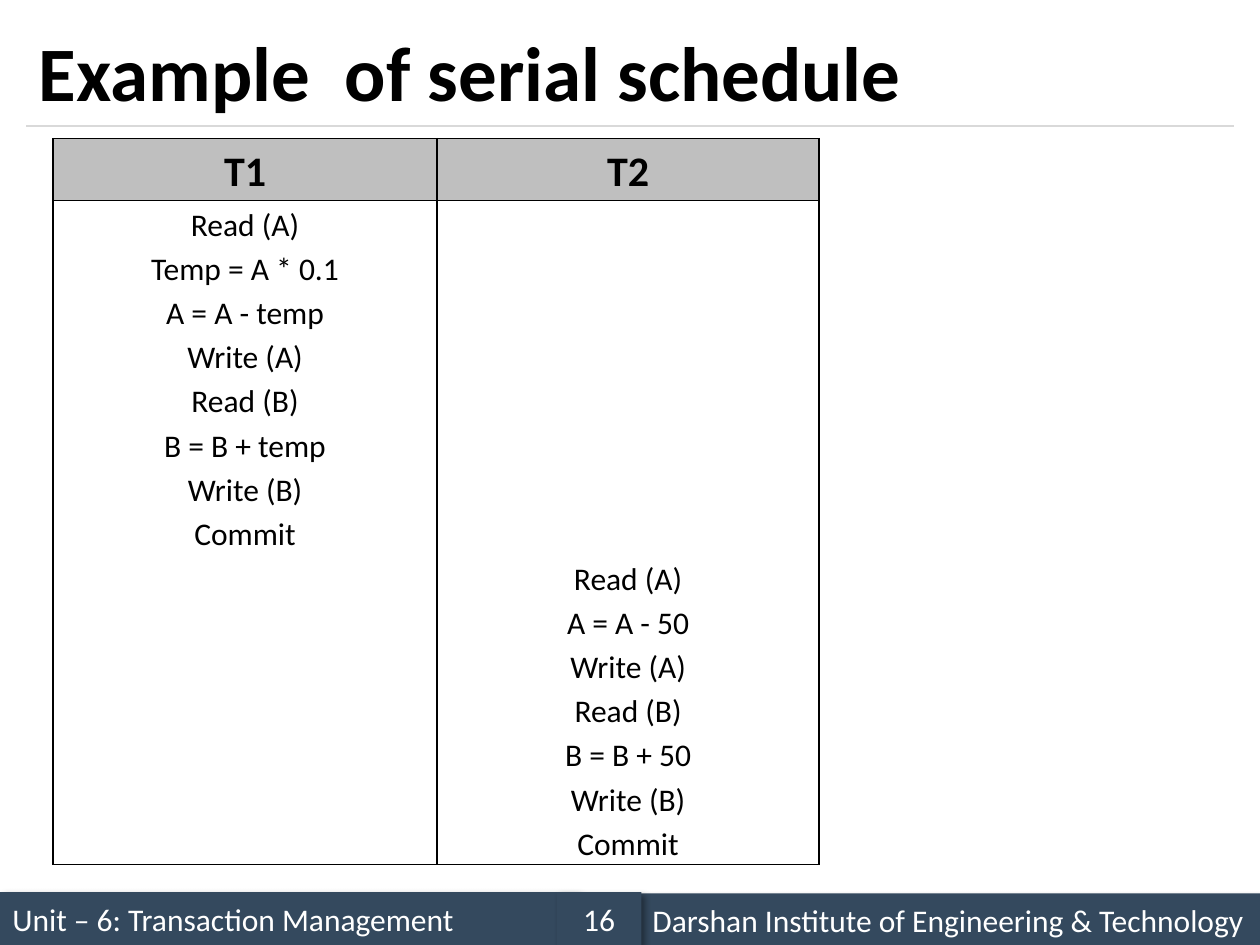
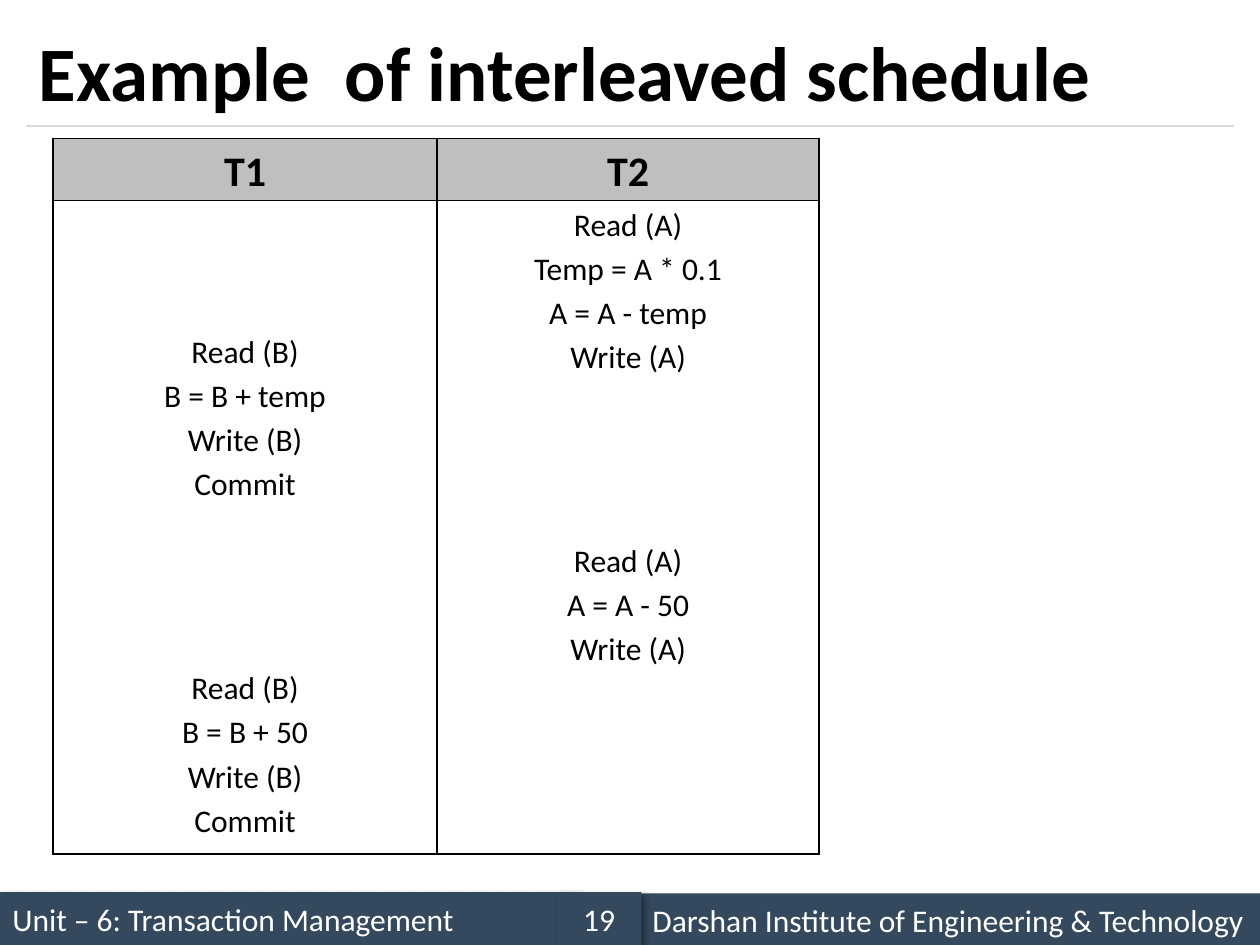
from lxml import etree
from pptx import Presentation
from pptx.dml.color import RGBColor
from pptx.enum.shapes import MSO_CONNECTOR, MSO_SHAPE
from pptx.enum.text import MSO_ANCHOR, PP_ALIGN
from pptx.oxml import parse_xml
from pptx.oxml.ns import nsdecls, qn
from pptx.util import Inches, Pt

LEFT, CENTER = PP_ALIGN.LEFT, PP_ALIGN.CENTER
MIDDLE = MSO_ANCHOR.MIDDLE
RECT, STRAIGHT = MSO_SHAPE.RECTANGLE, MSO_CONNECTOR.STRAIGHT

FONT = "Calibri"
BLACK, WHITE = "000000", "FFFFFF"
BAND, RULE, HEADER = "34495E", "D9D9D9", "BFBFBF"
UNIT = "Unit – 6: Transaction Management"
INSTITUTE = "Darshan Institute of Engineering & Technology"

READ_A, WRITE_A = "Read (A)", "Write (A)"
TAKE_TENTH = [READ_A, "Temp = A * 0.1", "A = A - temp", WRITE_A]
ADD_TENTH = ["Read (B)", "B = B + temp", "Write (B)", "Commit"]
TAKE_FIFTY = [READ_A, "A = A - 50", WRITE_A]
ADD_FIFTY = ["Read (B)", "B = B + 50", "Write (B)", "Commit"]
LATE_START = 1.01

# title, page, row heights, rows of (T1 steps, T2 steps), top inset of T1
SCHEDULES = [
    ("Example  of serial schedule", 16, (0.49, 2.81, 2.46),
     [(TAKE_TENTH + ADD_TENTH, []), ([], TAKE_FIFTY + ADD_FIFTY)], 0),
    ("Example  of interleaved schedule", 19, (0.49, 2.67, 2.52),
     [(ADD_TENTH, TAKE_TENTH), (ADD_FIFTY, TAKE_FIFTY)], LATE_START),
]


def rgb(color):
    """Turn a hex string into a colour."""
    return RGBColor.from_string(color)


def write(tf, lines, size=18, color=BLACK, bold=False, align=LEFT, spacing=1.0):
    """Fill a text frame with one paragraph per line."""
    for i, line in enumerate(lines):
        p = tf.add_paragraph() if i else tf.paragraphs[0]
        p.alignment, p.line_spacing = align, spacing
        r = p.add_run()
        r.text = line
        r.font.name, r.font.size, r.font.bold = FONT, Pt(size), bold
        r.font.color.rgb = rgb(color)


class Deck:
    """Holds the style and the current slide."""

    def __init__(self):
        """Start an empty deck."""
        self.prs = Presentation()
        self.prs.slide_width, self.prs.slide_height = Inches(10), Inches(7.5)
        self.s = None

    def slide(self, title, page):
        """Add a slide with its footer, rule and title."""
        self.s = self.prs.slides.add_slide(self.prs.slide_layouts[6])
        self.band(0, 7.08, 4.58, UNIT)
        self.rule(0.21, 9.79, 1)
        self.band(5.08, 7.09, 4.92, INSTITUTE)
        self.band(4.42, 7.08, 0.67, str(page), CENTER)
        self.title(title)

    def band(self, x, y, w, text, align=LEFT):
        """Add a footer band with a soft shadow."""
        sp = self.s.shapes.add_shape(RECT, Inches(x), Inches(y), Inches(w), Inches(0.42))
        sp.fill.solid()
        sp.fill.fore_color.rgb = rgb(BAND)
        sp.line.fill.background()
        sp._element.spPr.append(parse_xml(
            f'<a:effectLst {nsdecls("a")}><a:outerShdw blurRad="{Pt(4)}" dist="{Pt(3)}" '
            f'dir="2700000" algn="tl" rotWithShape="0"><a:srgbClr val="{BLACK}">'
            '<a:alpha val="40000"/></a:srgbClr></a:outerShdw></a:effectLst>'))
        sp.text_frame.word_wrap = True
        sp.text_frame.vertical_anchor = MIDDLE
        write(sp.text_frame, [text], color=WHITE, align=align)

    def rule(self, x1, x2, y):
        """Add a thin horizontal line."""
        sp = self.s.shapes.add_connector(STRAIGHT, Inches(x1), Inches(y), Inches(x2), Inches(y))
        sp.line.color.rgb = rgb(RULE)
        sp.line.width = Pt(0.75)
        etree.SubElement(sp._element.spPr, qn("a:effectLst"))

    def title(self, text):
        """Add the slide title."""
        sp = self.s.shapes.add_textbox(Inches(0.21), Inches(0.12), Inches(9.58), Inches(0.88))
        sp.text_frame.word_wrap = True
        sp.text_frame.vertical_anchor = MIDDLE
        write(sp.text_frame, [text], size=44, bold=True)

    def cell(self, cell, lines, sides, fill=WHITE, top=0, **fmt):
        """Fill one table cell and draw the borders named in sides."""
        cell.margin_left = cell.margin_right = Inches(0.07)
        cell.margin_top, cell.margin_bottom = Inches(top), 0
        tc_pr = cell._tc.get_or_add_tcPr()
        for side in "LRTB":
            paint = (f'<a:solidFill><a:srgbClr val="{BLACK}"/></a:solidFill>'
                     if side in sides else "<a:noFill/>")
            tc_pr.append(parse_xml(
                f'<a:ln{side} {nsdecls("a")} w="{Pt(1)}">{paint}</a:ln{side}>'))
        cell.fill.solid()
        cell.fill.fore_color.rgb = rgb(fill)
        write(cell.text_frame, lines, align=CENTER, spacing=1.15, **fmt)

    def schedule(self, heights, rows, t1_top):
        """Add the table of steps for the two transactions."""
        table = self.s.shapes.add_table(
            len(heights), 2, Inches(0.42), Inches(1.1), Inches(6.08), Inches(sum(heights))).table
        table.first_row = table.horz_banding = False
        for column, width in zip(table.columns, (3.05, 3.03)):
            column.width = Inches(width)
        for row, height in zip(table.rows, heights):
            row.height = Inches(height)
        for c, name in enumerate(("T1", "T2")):
            self.cell(table.cell(0, c), [name], "LRTB", HEADER, size=24, bold=True)
        for r, (steps, sides) in enumerate(zip(rows, ("LRT", "LRB")), 1):
            for c, top in enumerate((t1_top, 0)):
                self.cell(table.cell(r, c), steps[c], sides, top=top)


def main():
    """Build and save the deck."""
    deck = Deck()
    for title, page, heights, rows, t1_top in SCHEDULES:
        deck.slide(title, page)
        deck.schedule(heights, rows, t1_top)
    deck.prs.save("out.pptx")


if __name__ == "__main__":
    main()
